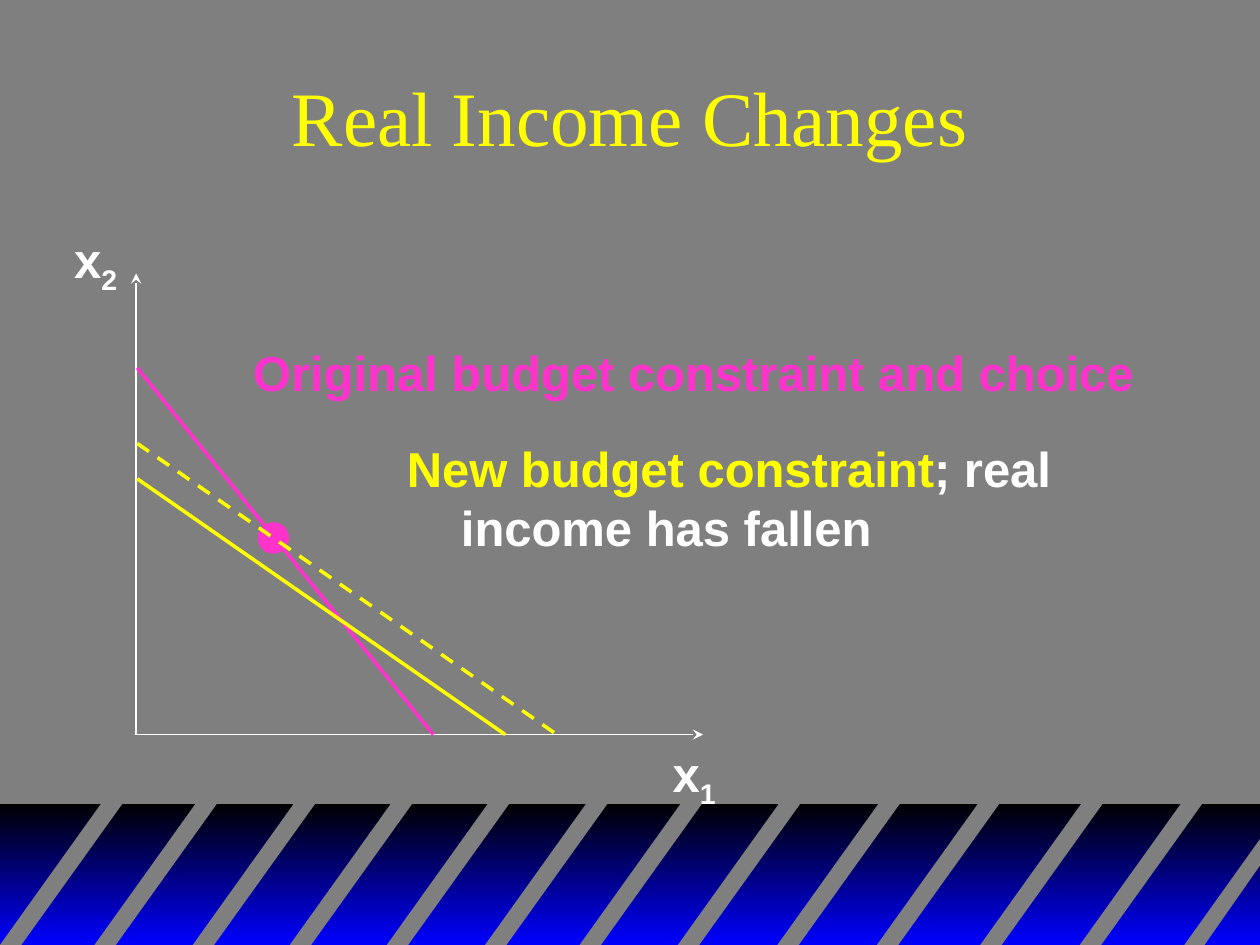
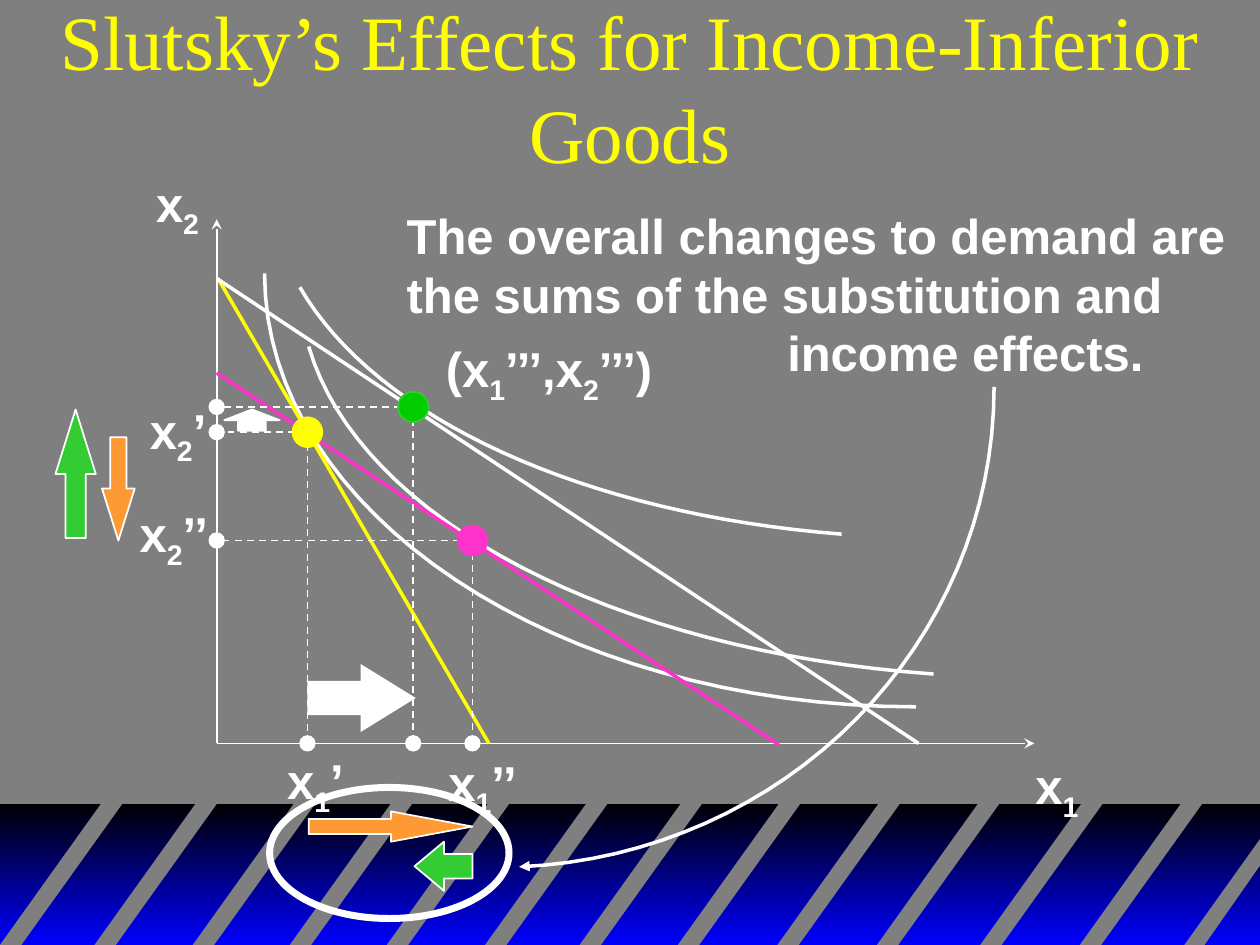
from lxml.etree import SubElement
from pptx import Presentation
from pptx.dml.color import RGBColor
from pptx.enum.dml import MSO_LINE
from pptx.enum.shapes import MSO_CONNECTOR, MSO_SHAPE
from pptx.enum.text import MSO_ANCHOR, MSO_AUTO_SIZE, PP_ALIGN
from pptx.oxml.ns import qn
from pptx.util import Inches, Pt

COLORS = {
    "gray": "7F7F7F", "black": "000000", "blue": "0000FF", "white": "FFFFFF",
    "yellow": "FFFF00", "pink": "FF33CC", "orange": "FF9933",
    "green": "33CC33", "dark green": "00CC00",
}
TITLE_FONT, BODY_FONT = "Times New Roman", "Arial"

BAND_TOP, SLIDE_W, SLIDE_H = 6.34, 10, 7.5
STRIPE_LEFTS = [0, 0.75, 1.53, 2.3, 3.07, 3.85, 4.6, 5.38, 6.17, 6.96, 7.78, 8.57]
STRIPE_RUN, STRIPE_W = 0.83, 0.17
LAST_STRIPE = [(9.4, 7.5), (10, 6.66), (10, 6.87), (9.56, 7.5)]

INCOME = {
    "title": ("Real Income Changes", (0.75, 0.25, 8.5, 1.33)),
    "axes": ((1.08, 5.83), 2.17, 5.58),
    "dots": [((2.17, 4.27), 0.25, "pink", None)],
    "lines": [
        ((1.09, 2.92), (3.44, 5.83), "pink", 2, False),
        ((1.09, 3.8), (4.01, 5.83), "yellow", 2, False),
        ((1.09, 3.52), (4.42, 5.83), "yellow", 2, True),
    ],
    "labels": [
        ((5.24, 5.85, 0.54, 0.63), ["x", "1"]),
        ((0.49, 1.77, 0.54, 0.63), ["x", "2"]),
    ],
    "notes": [
        ((1.91, 2.67, 7.19, 0.57),
         [(0, [("Original budget constraint and choice", "pink")])]),
        ((3.13, 3.43, 5.32, 1.04),
         [(0, [("New budget constraint", "yellow"), ("; real", "white")]),
          (0.43, [("income has fallen", "white")])]),
    ],
}

ORIGIN = (1.72, 5.9)
FIRST, FINAL, MIDDLE = (2.44, 3.43), (3.75, 4.29), (3.28, 3.23)
SLUTSKY = {
    "title": ("Slutsky’s Effects for Income-Inferior Goods", (0, 0.02, 10, 1.33)),
    "axes": (ORIGIN, 1.74, 8.21),
    "lines": [
        ((1.73, 2.21), (3.88, 5.9), "yellow", 2, False),
        ((1.72, 2.21), (7.29, 5.9), "white", 2, False),
        ((1.72, 2.96), (6.18, 5.91), "pink", 2, False),
    ],
    "choices": [FIRST, FINAL, MIDDLE],
    "curves": [
        [(7.27, 5.61), (4.42, 5.61), (2.1, 4.07), (2.1, 2.17)],
        [(6.68, 4.24), (4.64, 4.08), (2.99, 3.33), (2.38, 2.28)],
        [(7.41, 5.35), (4.87, 5.17), (2.85, 4.12), (2.45, 2.75)],
    ],
    "pointer": [(7.89, 3.07), (7.89, 5.11), (6.23, 6.79), (4.12, 6.88)],
    "dots": [
        (FIRST, 0.25, "yellow", None),
        (MIDDLE, 0.24, "dark green", "green"),
        (FINAL, 0.25, "pink", None),
    ],
    "labels": [
        ((1.14, 1.33, 0.54, 0.63), ["x", "2"]),
        ((8.12, 5.95, 0.54, 0.63), ["x", "1"]),
        ((1.09, 3.13, 0.65, 0.63), ["x", "2", "’"]),
        ((1.01, 3.95, 0.76, 0.63), ["x", "2", "’’"]),
        ((2.18, 5.91, 0.65, 0.63), ["x", "1", "’"]),
        ((3.46, 5.92, 0.76, 0.63), ["x", "1", "’’"]),
        ((3.44, 2.64, 1.9, 0.63), ["(x", "1", "’’’,x", "2", "’’’)"]),
    ],
    "arrows": [
        (MSO_SHAPE.DOWN_ARROW, (0.81, 3.47, 0.26, 0.82), 1.59, "orange", "white"),
        (MSO_SHAPE.RIGHT_ARROW, (2.45, 6.44, 1.3, 0.24), 2.69, "orange", "white"),
        (MSO_SHAPE.LEFT_ARROW, (3.29, 6.68, 0.46, 0.39), 0.6, "green", "white"),
        (MSO_SHAPE.UP_ARROW, (0.44, 3.25, 0.32, 1.02), 1.6, "green", "white"),
        (MSO_SHAPE.UP_ARROW, (1.78, 3.25, 0.44, 0.17), 0.5, "white", "white"),
        (MSO_SHAPE.RIGHT_ARROW, (2.44, 5.27, 0.86, 0.54), 0.81, "white", None),
    ],
    "ring": (2.14, 6.25, 1.9, 1.04),
    "notes": [
        ((3.13, 1.58, 6.7, 1.5),
         [(0, [("The overall changes to demand are", "white")]),
          (0, [("the sums of the substitution and", "white")]),
          (3.02, [("income effects.", "white")])]),
    ],
}


def rgb(name):
    return RGBColor.from_string(COLORS[name])


def inches(values):
    return [Inches(v) for v in values]


def paint(sp, fill=None, line=None, width=1):
    sp.shadow.inherit = False
    if fill:
        sp.fill.solid()
        sp.fill.fore_color.rgb = rgb(fill)
    else:
        sp.fill.background()
    if line:
        sp.line.color.rgb = rgb(line)
        sp.line.width = Pt(width)
    else:
        sp.line.fill.background()


def add_tail(sp, kind):
    SubElement(sp.element.spPr.find(qn("a:ln")), qn("a:tailEnd"), type=kind)


def add_outline(shapes, points, close):
    start, *rest = [inches(point) for point in points]
    builder = shapes.build_freeform(*start)
    builder.add_line_segments(rest, close=close)
    return builder.convert_to_shape()


def add_curve(s, controls, steps=32):
    points = []
    for i in range(steps + 1):
        t = i / steps
        weights = ((1 - t) ** 3, 3 * t * (1 - t) ** 2, 3 * t * t * (1 - t), t ** 3)
        points.append([sum(w * c[axis] for w, c in zip(weights, controls))
                       for axis in (0, 1)])
    sp = add_outline(s.shapes, points, False)
    paint(sp, line="white", width=2)
    return sp


def add_line(s, start, end, color="white", width=1, dashed=False, tail=None):
    sp = s.shapes.add_connector(MSO_CONNECTOR.STRAIGHT, *inches(start + end))
    sp.line.color.rgb = rgb(color)
    sp.line.width = Pt(width)
    if dashed:
        sp.line.dash_style = MSO_LINE.DASH
    if tail:
        add_tail(sp, tail)
    SubElement(sp.element.spPr, qn("a:effectLst"))


def add_axes(s, origin, top, right):
    for end in [(origin[0], top), (right, origin[1])]:
        add_line(s, origin, end, tail="stealth")


def add_dot(s, center, size, color="white", line=None):
    box = [center[0] - size / 2, center[1] - size / 2, size, size]
    paint(s.shapes.add_shape(MSO_SHAPE.OVAL, *inches(box)), color, line)


def add_arrow(s, shape, box, head, fill, line):
    sp = s.shapes.add_shape(shape, *inches(box))
    sp.adjustments[0], sp.adjustments[1] = 0.5, head
    paint(sp, fill, line)


def add_run(p, text, color, size=28, font=BODY_FONT, bold=True):
    r = p.add_run()
    r.text = text
    r.font.name, r.font.size, r.font.bold = font, Pt(size), bold
    r.font.color.rgb = rgb(color)
    return r


def add_text_frame(s, box):
    tf = s.shapes.add_textbox(*inches(box)).text_frame
    tf.word_wrap = False
    tf.auto_size = MSO_AUTO_SIZE.SHAPE_TO_FIT_TEXT
    return tf


def add_label(s, box, parts):
    p = add_text_frame(s, box).paragraphs[0]
    for i, text in enumerate(parts):
        r = add_run(p, text, "white")
        if i % 2:
            r.font._element.set("baseline", "-25000")


def add_note(s, box, lines):
    tf = add_text_frame(s, box)
    for i, (indent, runs) in enumerate(lines):
        p = tf.add_paragraph() if i else tf.paragraphs[0]
        if indent:
            p._p.get_or_add_pPr().set("marL", str(Inches(indent)))
        for text, color in runs:
            add_run(p, text, color)


def add_title(s, text, box):
    sp = s.shapes.title
    sp.left, sp.top, sp.width, sp.height = inches(box)
    tf = sp.text_frame
    tf.auto_size = MSO_AUTO_SIZE.NONE
    tf.vertical_anchor = MSO_ANCHOR.MIDDLE
    p = tf.paragraphs[0]
    p.alignment = PP_ALIGN.CENTER
    add_run(p, text, "yellow", 44, TITLE_FONT, False)


def add_band(master, s):
    master.background.fill.solid()
    master.background.fill.fore_color.rgb = rgb("gray")
    group = s.shapes.add_group_shape()
    base = group.shapes.add_shape(
        MSO_SHAPE.RECTANGLE, *inches([0, 6.38, SLIDE_W, SLIDE_H - 6.38]))
    paint(base)
    base.fill.gradient()
    base.fill.gradient_angle = 270
    for stop, position, color in zip(base.fill.gradient_stops, (0, 1), ("black", "blue")):
        stop.position = position
        stop.color.rgb = rgb(color)
    stripes = [[(x, SLIDE_H), (x + STRIPE_RUN, BAND_TOP),
                (x + STRIPE_RUN + STRIPE_W, BAND_TOP), (x + STRIPE_W, SLIDE_H)]
               for x in STRIPE_LEFTS]
    for points in stripes + [LAST_STRIPE]:
        paint(add_outline(group.shapes, points, True), "gray")
    tree = master.shapes.element
    tree.insert(2, group.element)
    for number, item in enumerate(tree.iter(qn("p:cNvPr")), 1):
        item.set("id", str(number))


def add_income_slide(s, content):
    add_axes(s, *content["axes"])
    for dot in content["dots"]:
        add_dot(s, *dot)
    for line in content["lines"]:
        add_line(s, *line)


def add_slutsky_slide(s, content):
    add_axes(s, *content["axes"])
    for controls in content["curves"]:
        add_curve(s, controls)
    for line in content["lines"]:
        add_line(s, *line)
    for x, y in content["choices"]:
        for foot in [(x, ORIGIN[1]), (ORIGIN[0], y)]:
            add_line(s, (x, y), foot, dashed=True)
            add_dot(s, foot, 0.13)
    for dot in content["dots"]:
        add_dot(s, *dot)
    for arrow in content["arrows"]:
        add_arrow(s, *arrow)
    ring = s.shapes.add_shape(MSO_SHAPE.OVAL, *inches(content["ring"]))
    paint(ring, line="white", width=4)
    add_tail(add_curve(s, content["pointer"]), "triangle")


def main():
    prs = Presentation()
    prs.slide_width, prs.slide_height = inches((SLIDE_W, SLIDE_H))
    for content, draw in [(INCOME, add_income_slide), (SLUTSKY, add_slutsky_slide)]:
        s = prs.slides.add_slide(prs.slide_layouts[5])
        if len(prs.slides) == 1:
            add_band(prs.slide_master, s)
        add_title(s, *content["title"])
        draw(s, content)
        for label in content["labels"]:
            add_label(s, *label)
        for note in content["notes"]:
            add_note(s, *note)
    prs.save("out.pptx")


if __name__ == "__main__":
    main()
